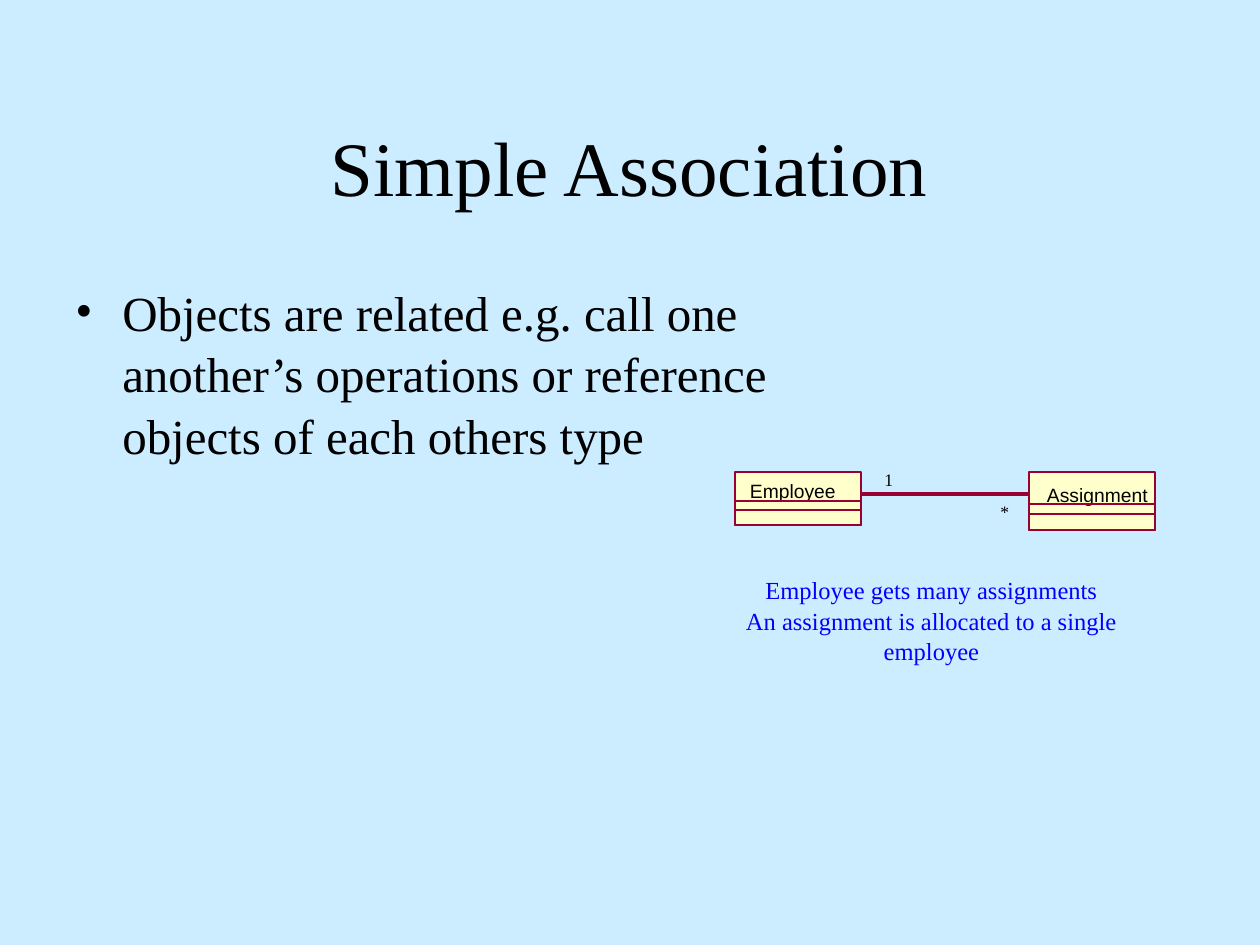
from lxml.etree import SubElement
from pptx import Presentation
from pptx.dml.color import RGBColor
from pptx.enum.shapes import MSO_CONNECTOR, MSO_SHAPE
from pptx.enum.text import MSO_ANCHOR, MSO_AUTO_SIZE, PP_ALIGN
from pptx.oxml.ns import qn
from pptx.util import Emu, Pt

SKY = RGBColor(0xCC, 0xEC, 0xFF)
CREAM = RGBColor(0xFF, 0xFF, 0xCC)
MAROON = RGBColor(0x99, 0x00, 0x33)
BLACK = RGBColor(0x00, 0x00, 0x00)
BLUE = RGBColor(0x00, 0x00, 0xFF)

SERIF = "Times New Roman"
SANS = "Arial"
PX_PER_INCH = 126
CLASS_WIDTH = 126


def px(length):
    return Emu(round(length * 914400 / PX_PER_INCH))


def add_text(shapes, box, lines, size, font=SERIF, color=BLACK,
             align=PP_ALIGN.LEFT, spacing=1.05, **frame_format):
    """Add a text box with one paragraph per line; return its paragraphs."""
    frame = shapes.add_textbox(*map(px, box)).text_frame
    frame.word_wrap = False
    frame.auto_size = MSO_AUTO_SIZE.SHAPE_TO_FIT_TEXT
    for name, value in frame_format.items():
        setattr(frame, name, value)
    frame.text = "\n".join(lines)
    for paragraph in frame.paragraphs:
        paragraph.alignment = align
        paragraph.line_spacing = spacing
        run_font = paragraph.runs[0].font
        for name, value in {"name": font, "size": Pt(size)}.items():
            setattr(run_font, name, value)
        run_font.color.rgb = color
    return frame.paragraphs


def add_bullet(paragraph, indent):
    props = paragraph._p.get_or_add_pPr()
    props.set("marL", str(px(indent)))
    props.set("indent", str(-px(indent)))
    SubElement(props, qn("a:buFont"), typeface=SERIF)
    SubElement(props, qn("a:buChar"), char="•")


def add_compartment(shapes, left, top, bottom, fill=None):
    box = shapes.add_shape(MSO_SHAPE.RECTANGLE, px(left), px(top),
                           px(CLASS_WIDTH), px(bottom - top))
    box.shadow.inherit = False
    if fill is None:
        box.fill.background()
    else:
        box.fill.solid()
        box.fill.fore_color.rgb = fill
    box.line.color.rgb = MAROON
    box.line.width = Pt(0)


def add_class(slide, name, left, tops, bottom, name_box):
    """Draw a UML class: a filled box, its name and two lower compartments."""
    shapes = slide.shapes.add_group_shape().shapes
    class_top, *lower_tops = tops
    add_compartment(shapes, left, class_top, bottom, CREAM)
    add_text(shapes, name_box, [name], 11, SANS, spacing=1.0, margin_left=0,
             margin_top=0, margin_right=0, margin_bottom=0)
    for top in lower_tops:
        add_compartment(shapes, left, top, bottom)


def add_association(slide, start, end, y):
    link = slide.shapes.add_connector(MSO_CONNECTOR.STRAIGHT,
                                      px(start), px(y), px(end), px(y))
    link.line.color.rgb = MAROON
    link.line.width = Pt(0)
    SubElement(link._element.spPr, qn("a:effectLst"))


def main():
    prs = Presentation()
    prs.slide_width, prs.slide_height = px(1260), px(945)
    slide = prs.slides.add_slide(prs.slide_layouts[6])
    slide.background.fill.solid()
    slide.background.fill.fore_color.rgb = SKY
    fixed = {"word_wrap": True, "auto_size": MSO_AUTO_SIZE.NONE}

    # Title
    add_text(slide.shapes, (94, 84, 1071, 158), ["Simple Association"], 44,
             align=PP_ALIGN.CENTER, vertical_anchor=MSO_ANCHOR.MIDDLE, **fixed)

    # Class diagram
    employee_left, assignment_left = 735, 1029
    add_class(slide, "Assignment", assignment_left, (472, 504, 514), 530,
              (1047, 483, 101, 23))
    add_class(slide, "Employee", employee_left, (472, 501, 510), 525,
              (750, 479, 86, 23))
    add_association(slide, assignment_left, employee_left + CLASS_WIDTH, 494)

    # Explanation
    explanation = add_text(
        slide.shapes, (63, 273, 746, 567),
        ["Objects are related e.g. call one another’s operations "
         "or reference objects of each others type"], 28, **fixed)
    add_bullet(explanation[0], 47)

    # Caption
    add_text(slide.shapes, (683, 567, 497, 72),
             ["Employee gets many assignments",
              "An assignment is allocated to a single employee"],
             14, color=BLUE, align=PP_ALIGN.CENTER)

    # Multiplicities
    for mark, left, top in (("1", 872, 462), ("*", 988, 494)):
        add_text(slide.shapes, (left, top, 34, 34), [mark], 10)

    prs.save("out.pptx")


if __name__ == "__main__":
    main()
